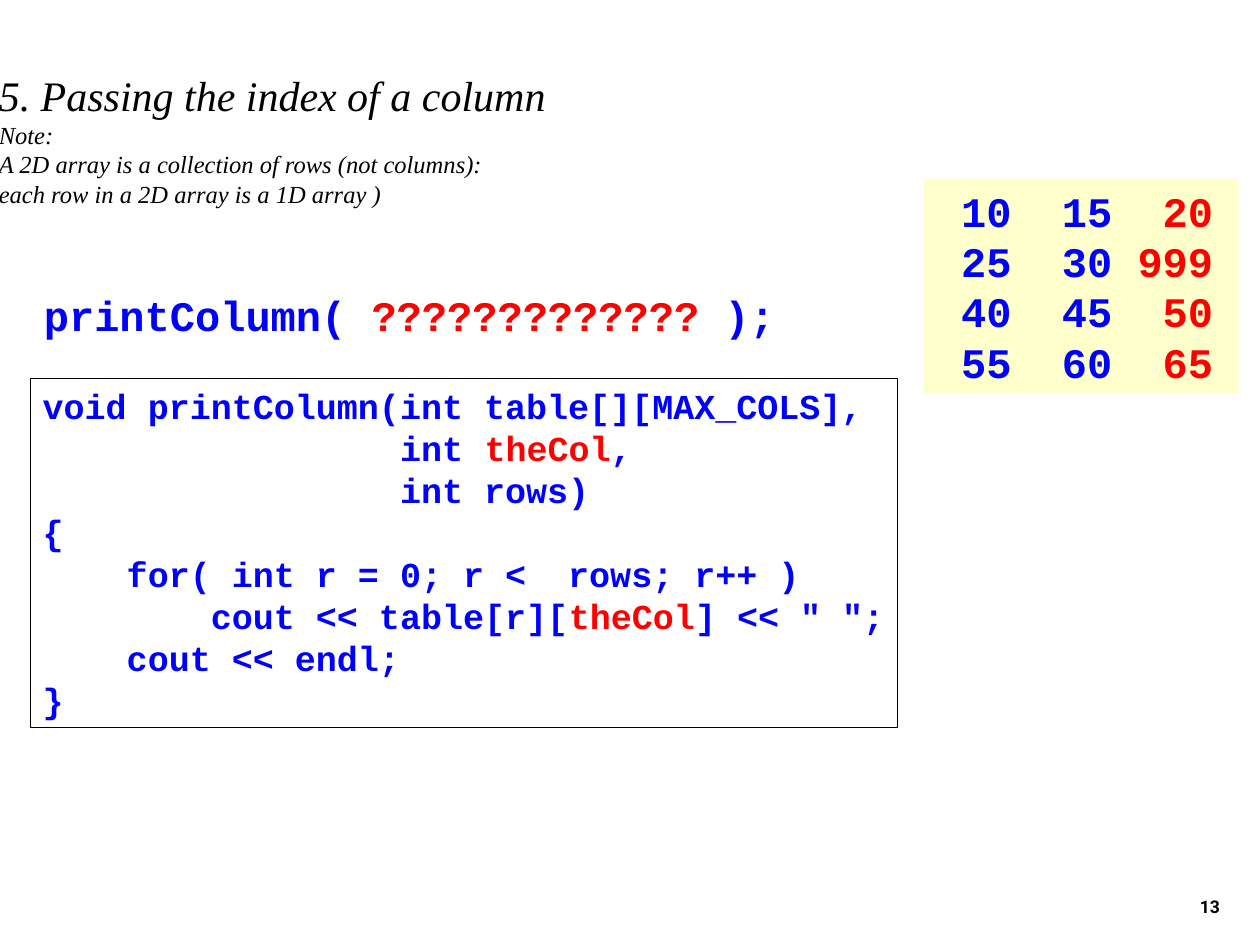
from pptx import Presentation
from pptx.dml.color import RGBColor
from pptx.enum.shapes import MSO_SHAPE
from pptx.enum.text import MSO_ANCHOR, MSO_AUTO_SIZE, PP_ALIGN
from pptx.oxml import parse_xml
from pptx.oxml.ns import nsdecls
from pptx.util import Inches, Pt

COLORS = {"ink": "000000", "code": "0000FF", "highlight": "FF0000", "panel": "FFFFCC"}
CODE_FONT = "Courier New"
LINE_HEIGHT = 1.2

# Text between two MARK signs is highlighted.
MARK = "§"
HEADING = [
    ("5. Passing the index of a column", 24),
    ("Note:", 14),
    ("A 2D array is a collection of rows (not columns):", 14),
    ("each row in a 2D array is a 1D array )", 14),
]
TABLE_VALUES = [(10, 15, 20), (25, 30, 999), (40, 45, 50), (55, 60, 65)]
CALL = "printColumn( §?????????????§ );"
FUNCTION = """void printColumn(int table[][MAX_COLS],
                 int §theCol§,
                 int rows)
{
    for( int r = 0; r <  rows; r++ )
        cout << table[r][§theCol§] << " ";
    cout << endl;
}"""
PAGE_NUMBER = "13"

# Left, top, width, height as percentages of the slide
AREAS = {
    "heading": (-1.1, 6.67, 56.2, 16),
    "values": (73.3, 18.93, 25, 22.67),
    "call": (2.5, 30, 60, 6.67),
    "function": (2.4, 40, 68.8, 36.93),
    "page": (77, 91.07, 20.8, 6.67),
}
VALUE_TABS = [0.6 + 0.8 * column for column in range(3)]

presentation = Presentation()
presentation.slide_width, presentation.slide_height = Inches(10), Inches(7.5)
slide = presentation.slides.add_slide(presentation.slide_layouts[5])


def area(name):
    left, top, width, height = AREAS[name]
    return (
        round(presentation.slide_width * left / 100),
        round(presentation.slide_height * top / 100),
        round(presentation.slide_width * width / 100),
        round(presentation.slide_height * height / 100),
    )


def add_right_tabs(paragraph, stops):
    tabs = "".join(f'<a:tab pos="{Inches(stop)}" algn="r"/>' for stop in stops)
    xml = f'<a:tabLst {nsdecls("a")}>{tabs}</a:tabLst>'
    paragraph._p.get_or_add_pPr().append(parse_xml(xml))


def write(shape, lines, font=CODE_FONT, color="code", bold=True, italic=False,
          align=PP_ALIGN.LEFT, anchor=MSO_ANCHOR.TOP, wrap=True, tabs=()):
    """Fill a shape with (text, size) lines, one paragraph each."""
    frame = shape.text_frame
    frame.word_wrap = wrap
    frame.auto_size = MSO_AUTO_SIZE.NONE
    frame.vertical_anchor = anchor
    for index, (text, size) in enumerate(lines):
        paragraph = frame.paragraphs[0] if index == 0 else frame.add_paragraph()
        if tabs:
            add_right_tabs(paragraph, tabs)
        paragraph.alignment = align
        paragraph.line_spacing = Pt(size * LINE_HEIGHT)
        for part, piece in enumerate(text.split(MARK)):
            if not piece:
                continue
            run = paragraph.add_run()
            run.text = piece
            run.font.name = font
            run.font.size = Pt(size)
            run.font.bold = bold
            run.font.italic = italic
            run_color = "highlight" if part % 2 else color
            run.font.color.rgb = RGBColor.from_string(COLORS[run_color])


def add_box(name, fill=None, line=None):
    shape = slide.shapes.add_shape(MSO_SHAPE.RECTANGLE, *area(name))
    shape.shadow.inherit = False
    if fill:
        shape.fill.solid()
        shape.fill.fore_color.rgb = RGBColor.from_string(COLORS[fill])
    else:
        shape.fill.background()
    if line:
        shape.line.color.rgb = RGBColor.from_string(COLORS[line])
        shape.line.width = Pt(0.25)
    else:
        shape.line.fill.background()
    return shape


title = slide.shapes.title
title.left, title.top, title.width, title.height = area("heading")
write(title, HEADING, font="Times New Roman", color="ink", bold=False, italic=True)

value_lines = [(f"\t{first}\t{second}\t{MARK}{third}", 24)
               for first, second, third in TABLE_VALUES]
write(add_box("values", fill="panel"), value_lines, tabs=VALUE_TABS)

write(slide.shapes.add_textbox(*area("call")), [(CALL, 24)])

function_lines = [(line, 20) for line in FUNCTION.splitlines()]
write(add_box("function", line="ink"), function_lines, wrap=False)

write(slide.shapes.add_textbox(*area("page")), [(PAGE_NUMBER, 10)], font="Roboto",
      color="ink", align=PP_ALIGN.RIGHT, anchor=MSO_ANCHOR.BOTTOM)

presentation.save("out.pptx")
